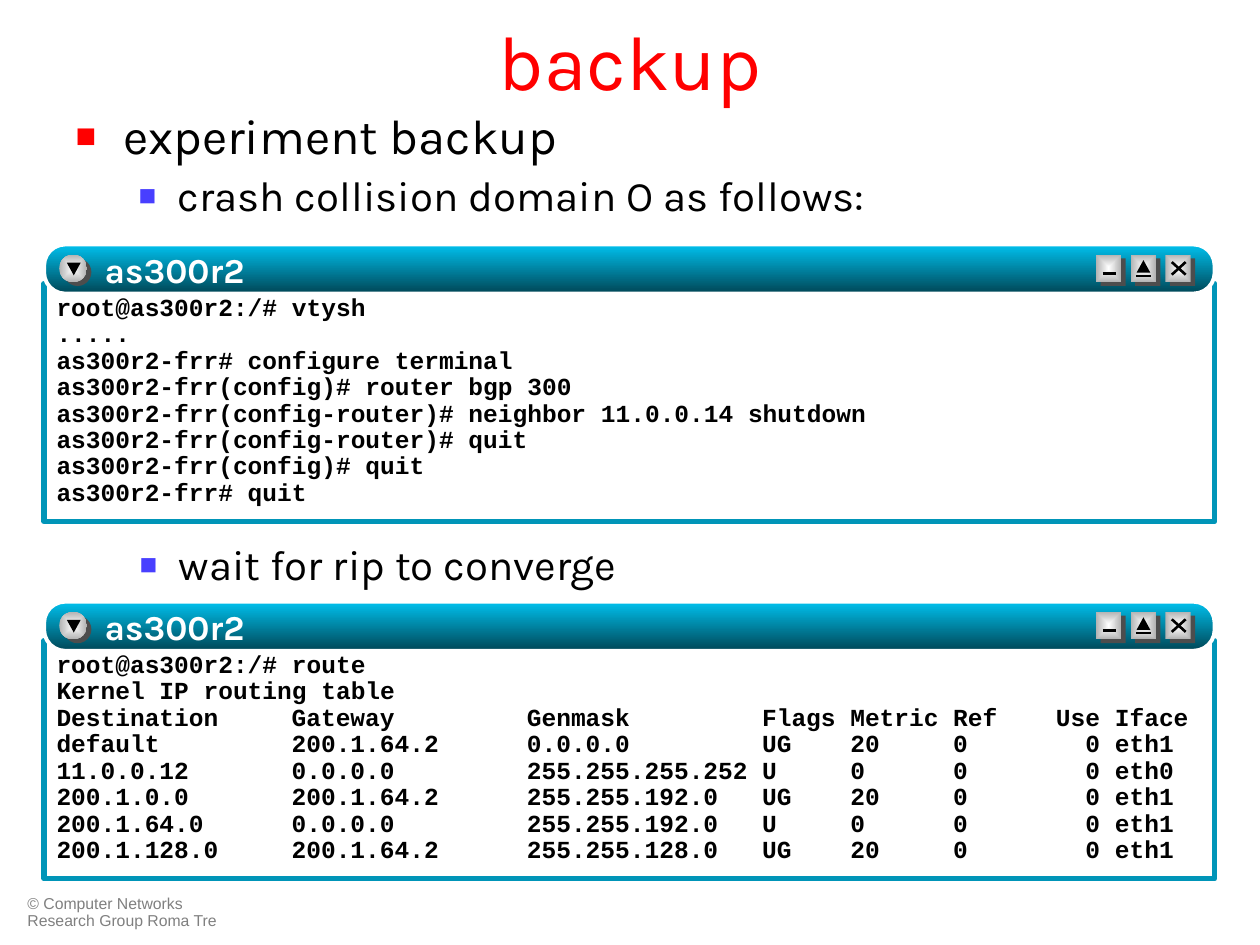
from lxml.etree import SubElement
from pptx import Presentation
from pptx.dml.color import RGBColor
from pptx.enum.shapes import MSO_CONNECTOR, MSO_SHAPE
from pptx.enum.text import MSO_ANCHOR, MSO_AUTO_SIZE, PP_ALIGN
from pptx.oxml.ns import qn
from pptx.util import Inches, Pt

CELL = 0.1
CHARACTER = Pt(8.4)
INSETS = ("margin_left", "margin_top", "margin_right", "margin_bottom")
HEADING = {"size": Pt(44), "name": "Karla"}
LEVELS = [
    {"size": 28, "indent": 3.8, "hanging": 3.8, "before": 7, "bullet": "FF0000"},
    {"size": 24, "indent": 8.1, "hanging": 3.1, "before": 6, "bullet": "483FFF"},
]
CODE = {"size": Pt(14), "name": "Courier New", "bold": True}
HOST = {"size": Pt(20), "name": "Karla", "bold": True}
CREDIT = {"size": Pt(9), "name": "Arial"}
TABLE_STOPS = [(16, "l"), (32, "l"), (48, "l"), (54, "l"), (61, "l"), (71, "r"), (72, "l")]
COMMANDS = [
    "root@as300r2:/# vtysh",
    ".....",
    "as300r2-frr# configure terminal",
    "as300r2-frr(config)# router bgp 300",
    "as300r2-frr(config-router)# neighbor 11.0.0.14 shutdown",
    "as300r2-frr(config-router)# quit",
    "as300r2-frr(config)# quit",
    "as300r2-frr# quit",
]
ROUTES = [
    ("Destination", "Gateway", "Genmask", "Flags", "Metric", "Ref", "Use", "Iface"),
    ("default", "200.1.64.2", "0.0.0.0", "UG", "20", "0", "0", "eth1"),
    ("11.0.0.12", "0.0.0.0", "255.255.255.252", "U", "0", "0", "0", "eth0"),
    ("200.1.0.0", "200.1.64.2", "255.255.192.0", "UG", "20", "0", "0", "eth1"),
    ("200.1.64.0", "0.0.0.0", "255.255.192.0", "U", "0", "0", "0", "eth1"),
    ("200.1.128.0", "200.1.64.2", "255.255.128.0", "UG", "20", "0", "0", "eth1"),
]
ROUTING = ["root@as300r2:/# route", "Kernel IP routing table"] + ["\t".join(row) for row in ROUTES]


def cells(*counts):
    """Turn grid counts into slide lengths."""
    return [Inches(count * CELL) for count in counts]


def color(hex_code):
    """Turn a hex string into a colour."""
    return RGBColor.from_string(hex_code)


def apply(target, formats):
    """Set every attribute listed in a dict of format values."""
    for attribute, value in formats.items():
        setattr(target, attribute, value)


def place(target, box):
    """Move an object to a box on the grid."""
    apply(target, dict(zip(("left", "top", "width", "height"), cells(*box))))


def write(paragraph, words, formats, ink):
    """Add one formatted run to a paragraph."""
    run = paragraph.add_run()
    run.text = words
    apply(run.font, formats)
    run.font.color.rgb = color(ink)
    return run


def write_bullet(paragraph, words, level, first):
    """Write a square-bulleted line of the given level."""
    look = LEVELS[level]
    apply(paragraph, {"level": level, "line_spacing": 0.9, "space_before": Pt(0 if first else look["before"])})
    properties = paragraph._p.get_or_add_pPr()
    indent, hanging = cells(look["indent"], look["hanging"])
    properties.set("marL", str(indent))
    properties.set("indent", str(-hanging))
    SubElement(SubElement(properties, qn("a:buClr")), qn("a:srgbClr"), val=look["bullet"])
    SubElement(properties, qn("a:buSzPct"), val="70000")
    SubElement(properties, qn("a:buFont"), typeface="Arial")
    SubElement(properties, qn("a:buChar"), char="■")
    write(paragraph, words, {"size": Pt(look["size"]), "name": "Karla"}, "000000")


def fill_gradient(shape, first, last, from_centre=False):
    """Fill a shape downwards, or outwards from its centre."""
    shape.fill.gradient()
    for stop, tone in zip(shape.fill.gradient_stops, (first, last)):
        stop.color.rgb = color(tone)
    shape.fill.gradient_angle = 270
    if from_centre:
        gradient = shape._element.spPr.find(qn("a:gradFill"))
        gradient.remove(gradient.find(qn("a:lin")))
        focus = SubElement(gradient, qn("a:path"), path="rect")
        SubElement(focus, qn("a:fillToRect"), l="50000", t="50000", r="50000", b="50000")


def add_plain(parts, preset, box, fill=None):
    """Add a shape without outline or shadow."""
    shape = parts.add_shape(preset, *cells(*box))
    shape.shadow.inherit = False
    shape.line.fill.background()
    if fill:
        shape.fill.solid()
        shape.fill.fore_color.rgb = color(fill)
    return shape


def add_stroke(parts, start, end):
    """Add one black stroke of a button sign."""
    stroke = parts.add_connector(MSO_CONNECTOR.STRAIGHT, *cells(*start, *end))
    stroke.line.color.rgb = color("000000")
    stroke.line.width = Pt(1.5)
    SubElement(stroke._element.spPr, qn("a:effectLst"))


def add_button(parts, box, preset=MSO_SHAPE.RECTANGLE, strokes=(), arrow=None, turn=0):
    """Add a raised button with its strokes and arrow."""
    left, top, width, height = box
    add_plain(parts, preset, (left + 0.35, top + 0.3, width, height), "4D4D4D")
    fill_gradient(add_plain(parts, preset, box), "FFFFFF", "B2B2B2", True)
    for x1, y1, x2, y2 in strokes:
        add_stroke(parts, (left + x1, top + y1), (left + x2, top + y2))
    if arrow:
        sign = (left + arrow[0], top + arrow[1], 1.1, 1)
        add_plain(parts, MSO_SHAPE.ISOSCELES_TRIANGLE, sign, "000000").rotation = turn


def add_panel(parts, box, lines):
    """Add the framed pane with the lines of the session."""
    panel = add_plain(parts, MSO_SHAPE.RECTANGLE, box, "FFFFFF")
    panel.line.color.rgb = color("0095B8")
    panel.line.width = Pt(3)
    frame = panel.text_frame
    apply(frame, {"word_wrap": True, "vertical_anchor": MSO_ANCHOR.TOP})
    apply(frame, dict(zip(INSETS, cells(1, 0.9, 1, 0.5))))
    for number, words in enumerate(lines):
        paragraph = frame.add_paragraph() if number else frame.paragraphs[0]
        apply(paragraph, {"alignment": PP_ALIGN.LEFT, "line_spacing": 0.9})
        if "\t" in words:
            stops = SubElement(paragraph._p.get_or_add_pPr(), qn("a:tabLst"))
            for column, side in TABLE_STOPS:
                SubElement(stops, qn("a:tab"), pos=str(column * CHARACTER), algn=side)
        write(paragraph, words, CODE, "000000")


def add_host(parts, box, host):
    """Add the shadowed name on the window bar."""
    frame = parts.add_textbox(*cells(*box)).text_frame
    apply(frame, {"word_wrap": True, "vertical_anchor": MSO_ANCHOR.MIDDLE})
    apply(frame, dict.fromkeys(INSETS, 0))
    run = write(frame.paragraphs[0], host, HOST, "FFFFFF")
    effects = run._r.get_or_add_rPr().find(qn("a:solidFill"))
    shade = effects.makeelement(qn("a:effectLst"))
    effects.addnext(shade)
    drop = SubElement(shade, qn("a:outerShdw"), dist="25400", dir="2700000")
    SubElement(drop, qn("a:srgbClr"), val="000000")


def add_terminal(slide, box, host, lines):
    """Add a terminal window: pane, bar, buttons and name."""
    left, top, width, height = box
    parts = slide.shapes.add_group_shape().shapes
    add_panel(parts, (left, top + 3.1, width, height - 3.1), lines)
    bar = add_plain(parts, MSO_SHAPE.ROUNDED_RECTANGLE, (left, top, width, 3.9))
    bar.adjustments[0] = 0.43
    fill_gradient(bar, "00C1EE", "004656")
    bar.line.color.rgb = color("FFFFFF")
    bar.line.width = Pt(2.25)
    add_button(parts, (left + 1.2, top + 0.8, 2.2, 2.2), MSO_SHAPE.OVAL, arrow=(0.6, 0.65), turn=180)
    signs = [
        {"strokes": [(0.5, 1.5, 1.6, 1.5)]},
        {"strokes": [(0.4, 1.7, 1.6, 1.7)], "arrow": (0.45, 0.45)},
        {"strokes": [(0.5, 1.6, 1.6, 0.6), (0.5, 0.6, 1.6, 1.6)]},
    ]
    for number, sign in enumerate(signs):
        add_button(parts, (left + 83.5 + 2.75 * number, top + 0.8, 2, 2.2), **sign)
    add_host(parts, (left + 4.8, top, 26, 3.9), host)


def add_heading(slide, box, words):
    """Fill the title placeholder."""
    place(slide.shapes.title, box)
    frame = slide.shapes.title.text_frame
    apply(frame, {"vertical_anchor": MSO_ANCHOR.MIDDLE, "auto_size": MSO_AUTO_SIZE.NONE})
    frame.paragraphs[0].alignment = PP_ALIGN.CENTER
    write(frame.paragraphs[0], words, HEADING, "FF0000")


def add_steps(body, box, steps):
    """Fill a text object with bulleted steps."""
    place(body, box)
    frame = body.text_frame
    apply(frame, {"word_wrap": True, "auto_size": MSO_AUTO_SIZE.NONE})
    for number, (level, words) in enumerate(steps):
        paragraph = frame.add_paragraph() if number else frame.paragraphs[0]
        write_bullet(paragraph, words, level, number == 0)


def add_credit(slide, box, words):
    """Add the copyright line at the foot."""
    frame = slide.shapes.add_textbox(*cells(*box)).text_frame
    frame.word_wrap = True
    frame.paragraphs[0].line_spacing = 0.9
    write(frame.paragraphs[0], words, CREDIT, "808080")


def main():
    """Build and save the slide."""
    deck = Presentation()
    deck.slide_width, deck.slide_height = cells(100, 75)
    slide = deck.slides.add_slide(deck.slide_layouts[1])
    add_credit(slide, (1.2, 70.6, 17.3, 3.6), "© Computer Networks Research Group Roma Tre")
    add_heading(slide, (5, 0.5, 90, 8.5), "backup")
    steps = [(0, "experiment backup"), (1, "crash collision domain O as follows:")]
    add_steps(slide.placeholders[1], (5, 8.4, 90, 11.3), steps)
    for top, lines in ((19.4, COMMANDS), (47.75, ROUTING)):
        add_terminal(slide, (3.5, top, 92.9, 22), "as300r2", lines)
    wait = slide.shapes.add_textbox(*cells(5.1, 42.7, 90, 11.3))
    add_steps(wait, (5.1, 42.7, 90, 11.3), [(1, "wait for rip to converge")])
    deck.save("out.pptx")


if __name__ == "__main__":
    main()
